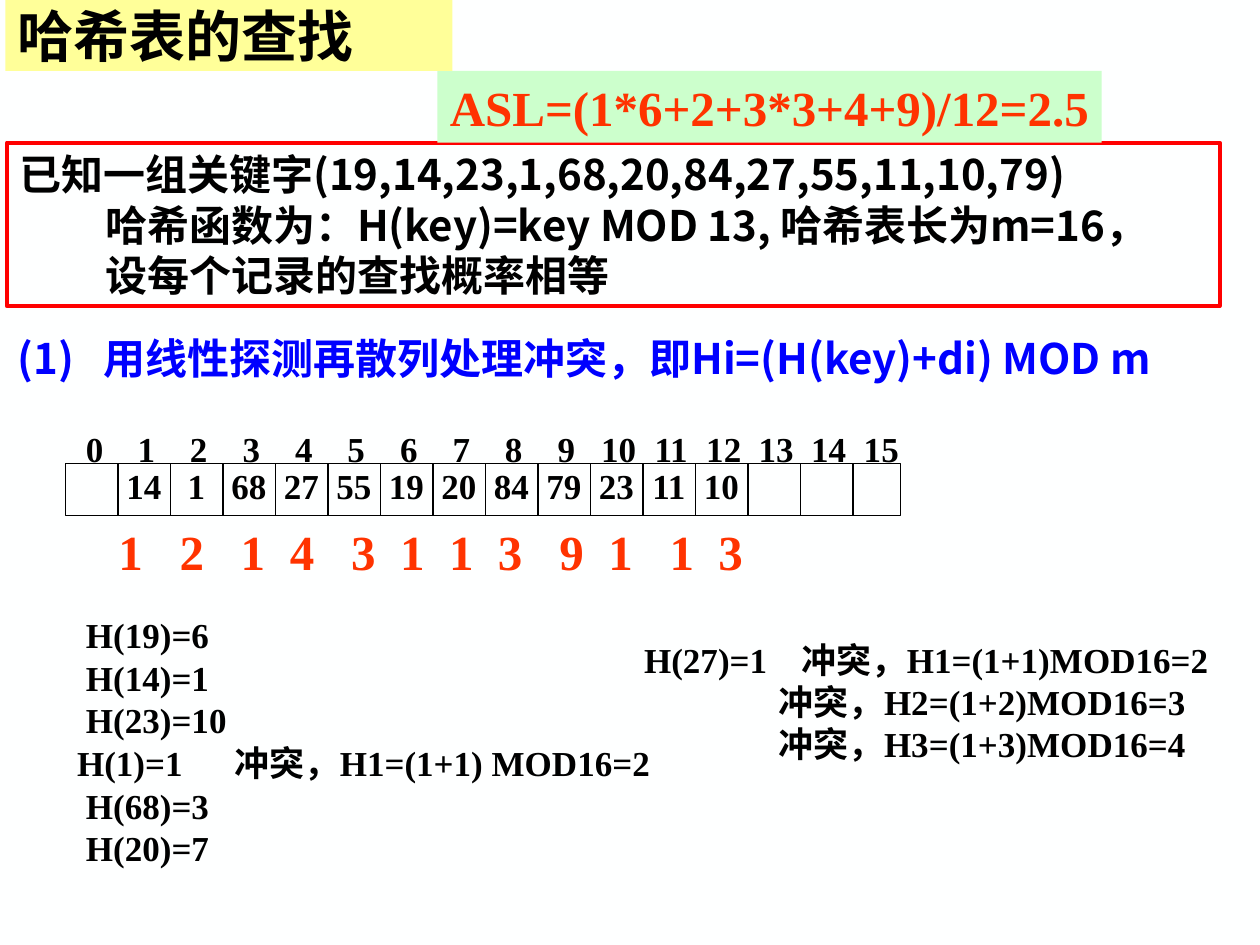
from itertools import accumulate

from pptx import Presentation
from pptx.dml.color import RGBColor
from pptx.enum.shapes import MSO_CONNECTOR, MSO_SHAPE
from pptx.enum.text import MSO_ANCHOR, PP_ALIGN
from pptx.oxml.ns import qn
from pptx.util import Pt
from lxml.etree import SubElement

SANS = "Noto Sans CJK SC"
SERIF = "Times New Roman"
BODY = {"size": Pt(20), "name": SERIF, "bold": True}
RULE = {"size": Pt(24), "name": SANS, "bold": True}
RESULT = {"size": Pt(28), "name": SERIF, "bold": True}
TITLE = {"size": Pt(32), "name": SANS, "bold": True}

SLOTS = 16
STRIP_LEFT, STRIP_TOP, STRIP_WIDTH, STRIP_HEIGHT = 37.5, 265, 477, 29.5
PITCH = 30
KEYS = [14, 1, 68, 27, 55, 19, 20, 84, 79, 23, 11, 10]
PROBES = [1, 2, 1, 4, 3, 1, 1, 3, 9, 1, 1, 3]
PROBE_STEPS = [35, 35, 28, 35, 28, 28, 28, 35, 28, 35, 28]
HASHES = ["H(19)=6", "H(14)=1", "H(23)=10", "H(1)=1\t冲突，H1=(1+1) MOD16=2",
          "H(68)=3", "H(20)=7"]


def color(code):
    return RGBColor.from_string(code)


def add_tabs(para, stops, align):
    tab_list = SubElement(para._p.get_or_add_pPr(), qn("a:tabLst"))
    for stop in stops:
        SubElement(tab_list, qn("a:tab"), pos=str(Pt(stop)), algn=align)


def write(box, lines, style, ink="000000", wrap=False, indent=0, tabs=(),
          tab_align="l", align=PP_ALIGN.LEFT, anchor=MSO_ANCHOR.TOP):
    """Fill a box; indent applies to every line after the first."""
    frame = box.text_frame
    frame.word_wrap = wrap
    frame.vertical_anchor = anchor
    for index, line in enumerate(lines):
        para = frame.add_paragraph() if index else frame.paragraphs[0]
        para.alignment = align
        if index and indent:
            para._p.get_or_add_pPr().set("marL", str(Pt(indent)))
        if tabs and "\t" in line:
            add_tabs(para, tabs, tab_align)
        span = para.add_run()
        span.text = line
        for name, value in style.items():
            setattr(span.font, name, value)
        span.font.color.rgb = color(ink)
        SubElement(span._r.get_or_add_rPr(), qn("a:ea"), typeface=SANS)


def add_text(shapes, left, top, width, height, lines, style, **layout):
    box = shapes.add_textbox(Pt(left), Pt(top), Pt(width), Pt(height))
    write(box, lines, style, **layout)


def add_panel(shapes, left, top, width, height, fill=None, line=None, weight=0.75):
    panel = shapes.add_shape(MSO_SHAPE.RECTANGLE, Pt(left), Pt(top), Pt(width), Pt(height))
    panel.shadow.inherit = False
    if fill:
        panel.fill.solid()
        panel.fill.fore_color.rgb = color(fill)
    else:
        panel.fill.background()
    if line:
        panel.line.color.rgb = color(line)
        panel.line.width = Pt(weight)
    else:
        panel.line.fill.background()
    return panel


def add_divider(shapes, x, top, bottom):
    divider = shapes.add_connector(MSO_CONNECTOR.STRAIGHT, Pt(x), Pt(top), Pt(x), Pt(bottom))
    divider.line.color.rgb = color("000000")
    divider.line.width = Pt(0.75)
    SubElement(divider._element.spPr, qn("a:effectLst"))


def add_hash_table(page):
    # Slot numbers and empty strip
    strip = page.shapes.add_group_shape().shapes
    add_text(strip, 42, 241, 484, 31.5, ["\t".join(map(str, range(SLOTS)))], BODY, wrap=True,
             tabs=[PITCH * slot + 4.5 for slot in range(1, SLOTS)], tab_align="ctr")
    add_panel(strip, STRIP_LEFT, STRIP_TOP, STRIP_WIDTH, STRIP_HEIGHT, line="000000")
    for slot in range(1, SLOTS):
        add_divider(strip, STRIP_LEFT + PITCH * slot, STRIP_TOP, STRIP_TOP + STRIP_HEIGHT)

    # Stored keys, from slot 1 on
    for index, key in enumerate(KEYS):
        add_text(page.shapes, 65 + PITCH * index, 262, 34.5, 31.5, [str(key)], BODY,
                 align=PP_ALIGN.CENTER)

    # Number of probes for each key
    add_text(page.shapes, 60.5, 294.5, 420, 41, ["\t".join(map(str, PROBES))], RESULT,
             ink="FF3300", wrap=True, tabs=list(accumulate(PROBE_STEPS)))


def add_calculations(page):
    for index, line in enumerate(HASHES):
        collides = "\t" in line
        add_text(page.shapes, 37 if collides else 42, 347 + 24.4 * index,
                 355 if collides else 110, 31.5, [line], BODY, wrap=True, tabs=[90])
    add_text(page.shapes, 361, 361.5, 352, 79,
             ["H(27)=1\t冲突，H1=(1+1)MOD16=2", "冲突，H2=(1+2)MOD16=3", "冲突，H3=(1+3)MOD16=4"],
             BODY, wrap=True, indent=77, tabs=[90])


def main():
    deck = Presentation()
    deck.slide_width, deck.slide_height = Pt(720), Pt(540)
    page = deck.slides.add_slide(deck.slide_layouts[6])
    page.background.fill.solid()
    page.background.fill.fore_color.rgb = color("FEFFFF")

    # Problem statement
    problem = add_panel(page.shapes, 4, 81.5, 693, 93.5, line="FF0000", weight=2.25)
    write(problem, ["已知一组关键字(19,14,23,1,68,20,84,27,55,11,10,79)",
                    "哈希函数为：H(key)=key MOD 13, 哈希表长为m=16，",
                    "设每个记录的查找概率相等"], RULE, indent=49)
    add_text(page.shapes, 3, 186.5, 680, 36,
             ["(1)\t用线性探测再散列处理冲突，即Hi=(H(key)+di) MOD m"], RULE,
             ink="0000FF", wrap=True, tabs=[49])

    add_hash_table(page)
    add_calculations(page)

    # Average search length and title
    average = add_panel(page.shapes, 250, 40.5, 379.5, 41, fill="CCFFCC")
    write(average, ["ASL=(1*6+2+3*3+4+9)/12=2.5"], RESULT, ink="FF3300")
    title = add_panel(page.shapes, 3, 0, 255.5, 40.5, fill="FFFF99")
    write(title, ["哈希表的查找"], TITLE, wrap=True, anchor=MSO_ANCHOR.MIDDLE)

    deck.save("out.pptx")


if __name__ == "__main__":
    main()
